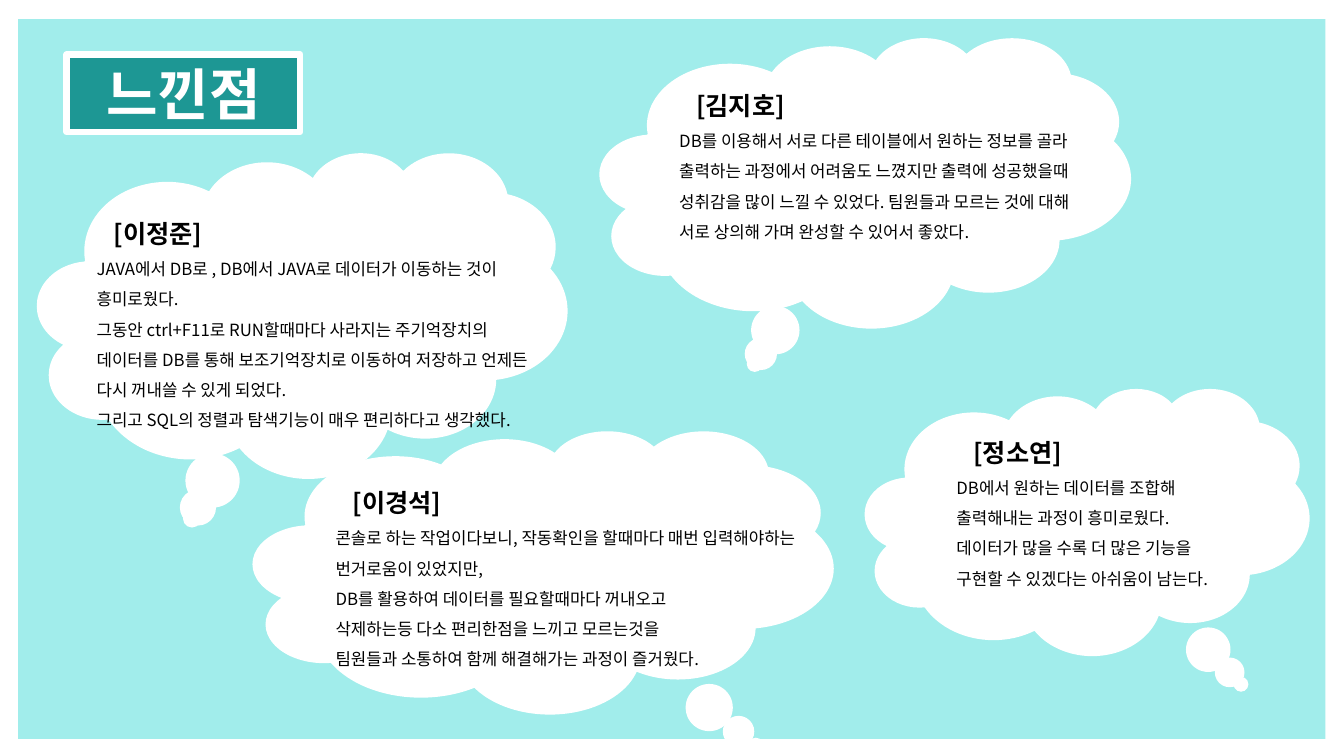
from dataclasses import dataclass

from lxml.etree import SubElement
from pptx import Presentation
from pptx.dml.color import RGBColor
from pptx.enum.shapes import MSO_SHAPE
from pptx.enum.text import MSO_ANCHOR, MSO_AUTO_SIZE, PP_ALIGN
from pptx.oxml.ns import qn
from pptx.shapes.autoshape import Shape
from pptx.slide import Slide
from pptx.text.text import TextFrame, _Paragraph as Paragraph
from pptx.util import Pt

Box = tuple[float, float, float, float]

FONT = "Noto Sans CJK KR"
COLORS = {"white": "FFFFFF", "panel": "A1EDEB", "title": "1D9794", "text": "000000"}


@dataclass(frozen=True)
class Thought:
    """One member's impression: a cloud with its tail, and the text over it."""

    author: str
    cloud: Box
    tail: tuple[float, float]
    text: Box
    sentences: tuple[str, ...]


THOUGHTS = (
    Thought(
        "이정준", (26.6, 108.7, 378.7, 232.6), (-0.208, 0.625), (61.9, 141.8, 339.8, 170.6),
        (
            "JAVA에서 DB로 , DB에서 JAVA로 데이터가 이동하는 것이 흥미로웠다.",
            "그동안 ctrl+F11로 RUN할때마다 사라지는 주기억장치의 데이터를 DB를 통해 "
            "보조기억장치로 이동하여 저장하고 언제든 다시 꺼내쓸 수 있게 되었다.",
            "그리고 SQL의 정렬과 탐색기능이 매우 편리하다고 생각했다.",
        ),
    ),
    Thought(
        "김지호", (428.4, 26.6, 379.4, 207.4), (-0.208, 0.625), (478.1, 50.4, 301, 149),
        (
            "DB를 이용해서 서로 다른 테이블에서 원하는 정보를 골라 출력하는 과정에서 "
            "어려움도 느꼈지만 출력에 성공했을때 성취감을 많이 느낄 수 있었다. 팀원들과 "
            "모르는 것에 대해 서로 상의해 가며 완성할 수 있어서 좋았다.",
        ),
    ),
    Thought(
        "정소연", (617.8, 277.2, 317.5, 190.8), (0.346, 0.609), (676.1, 298.1, 270, 127.4),
        (
            "DB에서 원하는 데이터를 조합해",
            "출력해내는 과정이 흥미로웠다.",
            "데이터가 많을 수록 더 많은 기능을",
            "구현할 수 있겠다는 아쉬움이 남는다.",
        ),
    ),
    Thought(
        "이경석", (180.7, 307.4, 414.7, 202.3), (0.366, 0.613), (232.6, 334.1, 403.2, 149),
        (
            "콘솔로 하는 작업이다보니, 작동확인을 할때마다 매번 입력해야하는",
            "번거로움이 있었지만,",
            "DB를 활용하여 데이터를 필요할때마다 꺼내오고",
            "삭제하는등 다소 편리한점을 느끼고 모르는것을",
            "팀원들과 소통하여 함께 해결해가는 과정이 즐거웠다.",
        ),
    ),
)


def points(box: Box) -> list[Pt]:
    """Convert a box given in points to lengths."""
    return [Pt(length) for length in box]


def color(name: str) -> RGBColor:
    """Look up a colour by name."""
    return RGBColor.from_string(COLORS[name])


def add_filled_shape(slide: Slide, kind: MSO_SHAPE, box: Box, fill: str) -> Shape:
    """Add a flat shape without outline."""
    shape = slide.shapes.add_shape(kind, *points(box))
    shape.shadow.inherit = False
    shape.fill.solid()
    shape.fill.fore_color.rgb = color(fill)
    shape.line.fill.background()
    return shape


def add_run(paragraph: Paragraph, text: str, size: float, bold: bool, fill: str) -> None:
    """Add a run in the deck's font, for Latin and Korean letters."""
    run = paragraph.add_run()
    run.text = text
    run.font.size = Pt(size)
    run.font.bold = bold
    run.font.color.rgb = color(fill)
    run.font.name = FONT
    SubElement(run.font._element, qn("a:ea"), typeface=FONT)


def prepare_frame(frame: TextFrame, anchor: MSO_ANCHOR) -> None:
    """Make a text frame wrap at a fixed size."""
    frame.word_wrap = True
    frame.auto_size = MSO_AUTO_SIZE.NONE
    frame.vertical_anchor = anchor


def add_title(slide: Slide, text: str) -> None:
    """Turn the title placeholder into a framed label."""
    title = slide.shapes.title
    title.left, title.top, title.width, title.height = points((47.5, 38.9, 167, 55.4))
    title.fill.solid()
    title.fill.fore_color.rgb = color("title")
    title.line.color.rgb = color("white")
    title.line.width = Pt(4.5)
    prepare_frame(title.text_frame, MSO_ANCHOR.MIDDLE)
    paragraph = title.text_frame.paragraphs[0]
    paragraph.alignment = PP_ALIGN.CENTER
    add_run(paragraph, text, 40, True, "white")


def add_cloud(slide: Slide, thought: Thought) -> None:
    """Add the cloud callout of a thought."""
    cloud = add_filled_shape(slide, MSO_SHAPE.CLOUD_CALLOUT, thought.cloud, "white")
    for index, offset in enumerate(thought.tail):
        cloud.adjustments[index] = offset


def add_thought_text(slide: Slide, thought: Thought) -> None:
    """Add the author's name and the sentences below it."""
    frame = slide.shapes.add_textbox(*points(thought.text)).text_frame
    prepare_frame(frame, MSO_ANCHOR.TOP)
    heading = frame.paragraphs[0]
    heading.line_spacing = 1.5
    heading._p.get_or_add_pPr().set("indent", str(Pt(12.1)))
    add_run(heading, f"[{thought.author}]", 18, True, "text")
    for sentence in thought.sentences:
        paragraph = frame.add_paragraph()
        paragraph.line_spacing = 1.5
        add_run(paragraph, sentence, 12, False, "text")


def main() -> None:
    """Build the slide of impressions."""
    presentation = Presentation()
    presentation.slide_width, presentation.slide_height = Pt(960), Pt(540)
    slide = presentation.slides.add_slide(presentation.slide_layouts[5])
    panel = add_filled_shape(slide, MSO_SHAPE.RECTANGLE, (13, 13.7, 933.8, 514.1), "panel")
    slide.shapes.title.element.addprevious(panel.element)
    add_title(slide, "느낀점")
    for thought in THOUGHTS:
        add_cloud(slide, thought)
    for thought in THOUGHTS:
        add_thought_text(slide, thought)
    presentation.save("out.pptx")


if __name__ == "__main__":
    main()
